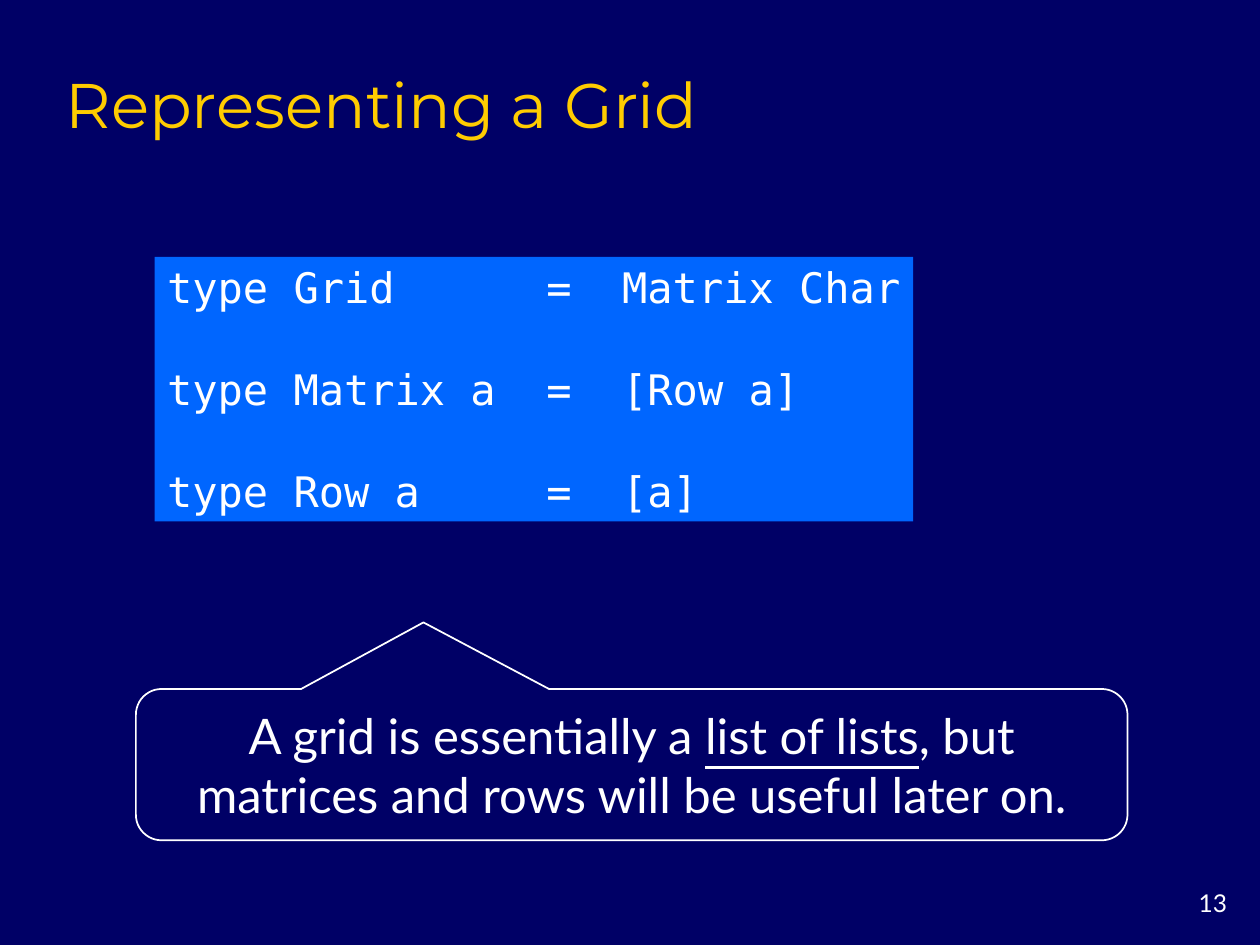
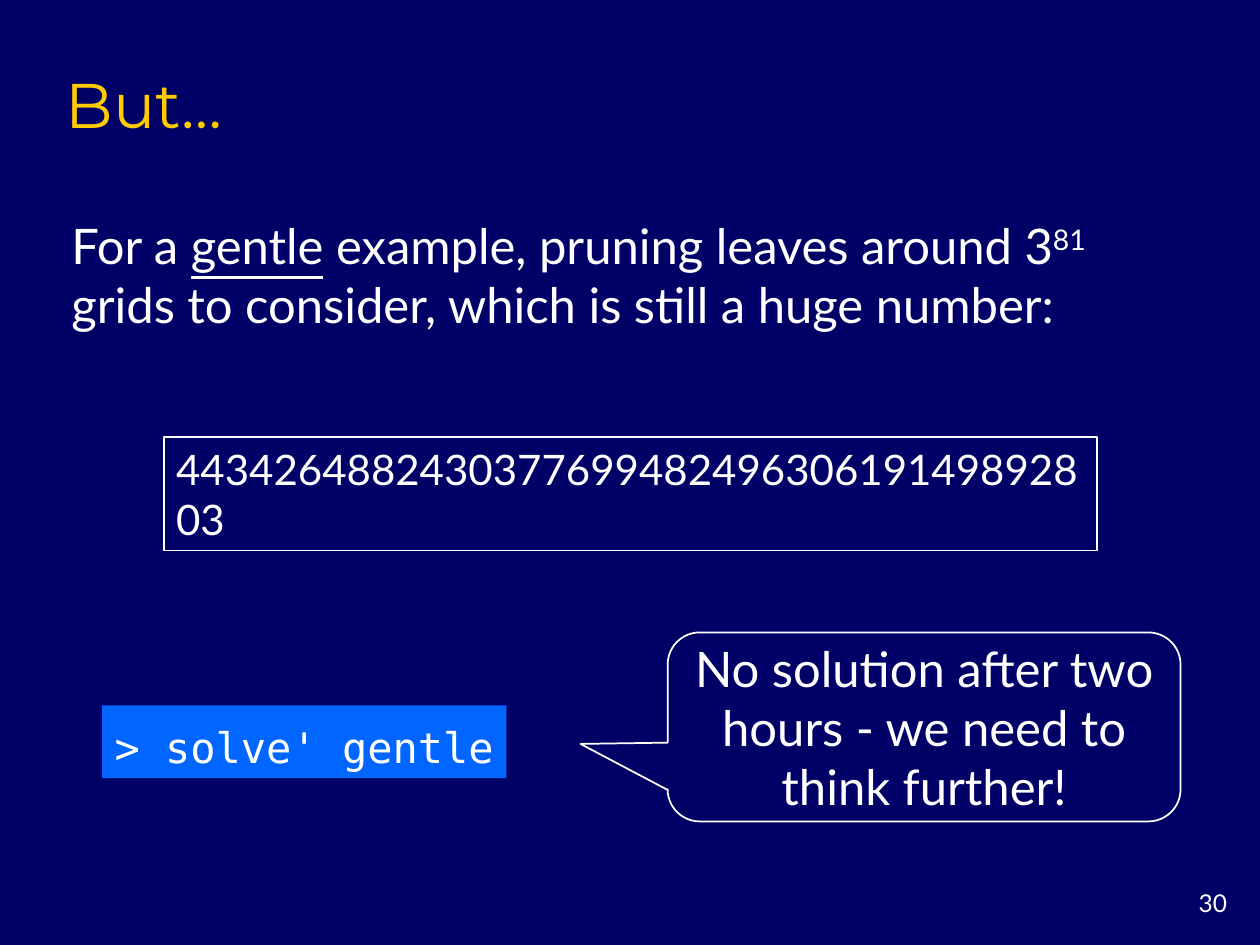
from dataclasses import dataclass

from pptx import Presentation
from pptx.dml.color import RGBColor
from pptx.enum.shapes import MSO_SHAPE
from pptx.enum.text import MSO_ANCHOR, MSO_AUTO_SIZE, PP_ALIGN
from pptx.util import Cm, Pt


@dataclass(frozen=True)
class Theme:
    background: RGBColor = RGBColor(0x00, 0x00, 0x66)
    heading: RGBColor = RGBColor(0xFF, 0xCC, 0x00)
    ink: RGBColor = RGBColor(0xFF, 0xFF, 0xFF)
    code_fill: RGBColor = RGBColor(0x00, 0x66, 0xFF)
    heading_font: str = "Montserrat"
    text_font: str = "Lato"
    code_font: str = "DejaVu Sans Mono"
    heading_size: Pt = Pt(36)
    text_size: Pt = Pt(28)
    code_size: Pt = Pt(24)
    page_size: Pt = Pt(14)
    outline: Pt = Pt(1)
    code_gap: Pt = Pt(29.5)


class Deck:
    def __init__(self, theme):
        self.theme = theme
        self.prs = Presentation()
        self.prs.slide_width, self.prs.slide_height = Cm(25.4), Cm(19.05)
        backdrop = self.prs.slide_master.background.fill
        backdrop.solid()
        backdrop.fore_color.rgb = theme.background
        self.slide = None

    def start_slide(self, heading, page):
        theme = self.theme
        self.slide = self.prs.slides.add_slide(self.prs.slide_layouts[5])
        title = self.slide.shapes.title
        self.place(title, (1.07, 1.07, 21.59, 1.91))
        self.set_text(title, [[heading]], theme.heading_font, theme.heading_size,
                      color=theme.heading, anchor=MSO_ANCHOR.BOTTOM)
        self.text((23.29, 17.78, 1.7, 0.84), [page], theme.page_size,
                  align=PP_ALIGN.RIGHT, anchor=MSO_ANCHOR.TOP)

    def place(self, shape, box):
        shape.left, shape.top, shape.width, shape.height = map(Cm, box)

    def set_text(self, shape, lines, font, size, color=None, align=PP_ALIGN.LEFT,
                 anchor=MSO_ANCHOR.MIDDLE, wrap=True):
        """Fill a shape; each line is a list of strings or (string, style) pairs."""
        frame = shape.text_frame
        frame.auto_size = MSO_AUTO_SIZE.NONE
        frame.word_wrap = wrap
        frame.vertical_anchor = anchor
        for index, line in enumerate(lines):
            paragraph = frame.add_paragraph() if index else frame.paragraphs[0]
            paragraph.alignment = align
            paragraph.font.name = font
            paragraph.font.size = size
            paragraph.font.color.rgb = color or self.theme.ink
            for part in line:
                words, style = (part, None) if isinstance(part, str) else part
                run = paragraph.add_run()
                run.text = words
                if style == "underline":
                    run.font.underline = True
                elif style == "superscript":
                    run.font._element.set("baseline", "30000")
        return frame.paragraphs

    def text(self, box, parts, size, **layout):
        label = self.slide.shapes.add_textbox(*map(Cm, box))
        self.set_text(label, [parts], self.theme.text_font, size, **layout)

    def panel(self, kind, box, fill=None):
        """Add a shape that is either filled or outlined."""
        shape = self.slide.shapes.add_shape(kind, *map(Cm, box))
        shape.shadow.inherit = False
        if fill:
            shape.fill.solid()
            shape.fill.fore_color.rgb = fill
            shape.line.fill.background()
        else:
            shape.fill.background()
            shape.line.color.rgb = self.theme.ink
            shape.line.width = self.theme.outline
        return shape

    def code(self, box, lines, line_spacing=1.0):
        theme = self.theme
        listing = self.panel(MSO_SHAPE.RECTANGLE, box, theme.code_fill)
        paragraphs = self.set_text(listing, [[line] for line in lines],
                                   theme.code_font, theme.code_size, wrap=False)
        for index, paragraph in enumerate(paragraphs):
            paragraph.line_spacing = line_spacing
            if index:
                paragraph.space_before = theme.code_gap

    def callout(self, box, pointer, parts):
        bubble = self.panel(MSO_SHAPE.ROUNDED_RECTANGULAR_CALLOUT, box)
        for index, value in enumerate((*pointer, 0.17)):
            bubble.adjustments[index] = value
        self.set_text(bubble, [parts], self.theme.text_font, self.theme.text_size,
                      align=PP_ALIGN.CENTER)

    def framed_number(self, box, digits):
        frame = self.panel(MSO_SHAPE.RECTANGLE, box)
        self.set_text(frame, [[digits]], self.theme.text_font, self.theme.code_size,
                      anchor=MSO_ANCHOR.TOP)


def add_grid_slide(deck):
    deck.start_slide("Representing a Grid", "13")
    deck.code((3.12, 5.18, 15.29, 5.33), [
        "type Grid      =  Matrix Char",
        "type Matrix a  =  [Row a]",
        "type Row a     =  [a]",
    ])
    deck.callout((2.74, 13.89, 19.99, 3.05), (-0.21, -0.94), [
        "A grid is essentially a ",
        ("list of lists", "underline"),
        ", but matrices and rows will be useful later on.",
    ])


def add_pruning_slide(deck):
    deck.start_slide("But…", "30")
    deck.code((2.06, 14.22, 8.15, 1.47), ["> solve' gentle"], line_spacing=1.2)
    deck.callout((13.46, 12.75, 10.34, 3.81), (-0.67, 0.09),
                 ["No solution after two hours - we need to think further!"])
    deck.text((1.19, 4.22, 23.06, 2.64), [
        "For a ",
        ("gentle", "underline"),
        " example, pruning leaves around 3",
        ("81", "superscript"),
        " grids to consider, which is still a huge number:",
    ], deck.theme.text_size)
    deck.framed_number((3.3, 8.81, 18.82, 2.29),
                       "443426488243037769948249630619149892803")


def main():
    deck = Deck(Theme())
    add_grid_slide(deck)
    add_pruning_slide(deck)
    deck.prs.save("out.pptx")


if __name__ == "__main__":
    main()
